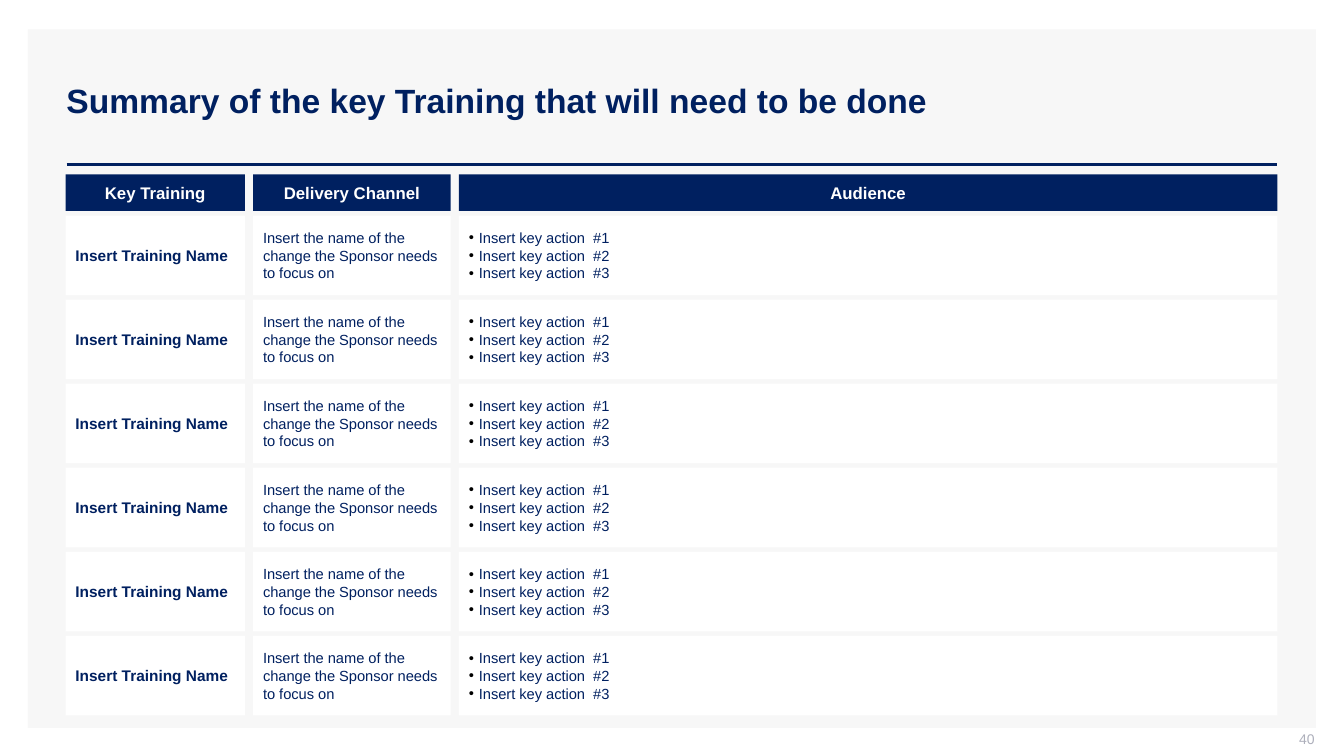
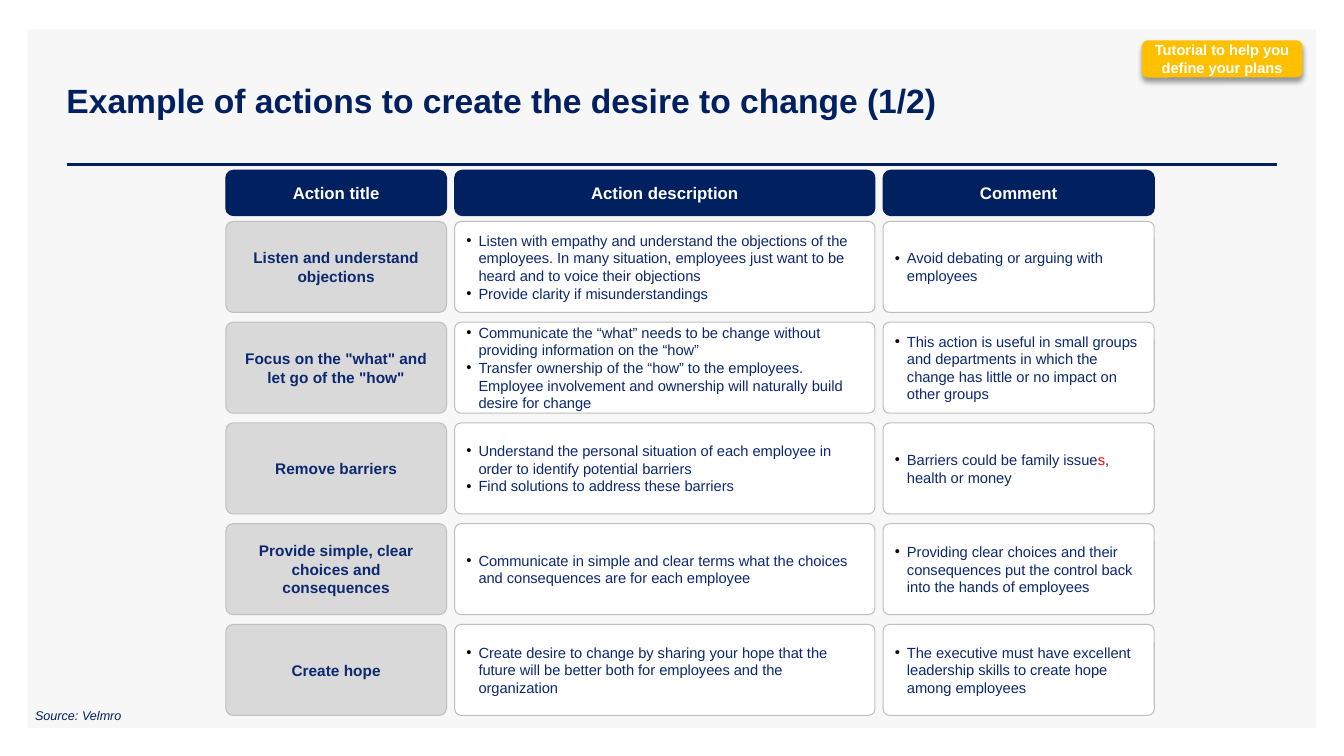
from dataclasses import dataclass

from lxml.etree import SubElement
from pptx import Presentation
from pptx.dml.color import RGBColor
from pptx.enum.shapes import MSO_CONNECTOR, MSO_SHAPE
from pptx.enum.text import MSO_ANCHOR, PP_ALIGN
from pptx.oxml.ns import qn
from pptx.util import Pt


@dataclass(frozen=True)
class Theme:
    font: str = "Arial"
    navy: str = "002060"
    ink: str = "0C2870"
    white: str = "FFFFFF"
    black: str = "000000"
    panel: str = "F7F7F7"
    label: str = "D9D9D9"
    border: str = "BFBFBF"
    amber: str = "FFC000"
    red: str = "FF0000"
    number: str = "ADAFBB"
    title_size: float = 24
    header_size: float = 12
    label_size: float = 11
    body_size: float = 10.5
    number_size: float = 10
    source_size: float = 9


@dataclass(frozen=True)
class Box:
    left: float
    top: float
    width: float
    height: float

    def lengths(self):
        return Pt(self.left), Pt(self.top), Pt(self.width), Pt(self.height)


@dataclass(frozen=True)
class Grid:
    shape: MSO_SHAPE
    widths: tuple
    column_gap: float
    header_height: float
    header_gap: float
    row_gap: float
    label_fill: str
    label_align: PP_ALIGN
    text_color: str
    border: str | None
    header_border: str | None
    indent: float
    bulleted: tuple
    corners: tuple


THEME = Theme()
CELL_INSETS = (7.2, 3.6, 7.2, 3.6)
HEADER_INSETS = (1.44, 1.44, 1.44, 1.44)

TRAINING_HEADERS = ("Key Training", "Delivery Channel", "Audience")
TRAINING_ROW = (
    ["Insert Training Name"],
    ["Insert the name of the change the Sponsor needs to focus on"],
    [f"Insert key action  #{number}" for number in range(1, 4)],
)
TRAINING_GRID = Grid(
    shape=MSO_SHAPE.RECTANGLE, widths=(128.2, 141.2, 584.6), column_gap=5.8,
    header_height=26, header_gap=3.4, row_gap=3.2, label_fill=THEME.white,
    label_align=PP_ALIGN.LEFT, text_color=THEME.navy, border=None,
    header_border=None, indent=7.2, bulleted=(2,), corners=(),
)

ACTION_HEADERS = ("Action title", "Action description", "Comment")
ACTION_ROWS = (
    (
        ["Listen and understand objections"],
        ["Listen with empathy and understand the objections of the employees. In many "
         "situation, employees just want to be heard and to voice their objections",
         "Provide clarity if misunderstandings"],
        ["Avoid debating or arguing with employees"],
    ),
    (
        ['Focus on the "what" and let go of the "how"'],
        [["Communicate the “what” need", ("s", THEME.navy),
          " to be change without providing information on the “how”"],
         "Transfer ownership of the “how” to the employees. Employee involvement and "
         "ownership will naturally build desire for change"],
        ["This action is useful in small groups and departments in which the change has "
         "little or no impact on other groups"],
    ),
    (
        ["Remove barriers"],
        ["Understand the personal situation of each employee in order to identify "
         "potential barriers",
         "Find solutions to address these barriers"],
        [["Barriers could be family issue", ("s", THEME.red), ", health or money"]],
    ),
    (
        ["Provide simple, clear choices and consequences"],
        ["Communicate in simple and clear terms what the choices and consequences are "
         "for each employee"],
        ["Providing clear choices and their consequences put the control back into the "
         "hands of employees"],
    ),
    (
        ["Create hope"],
        ["Create desire to change by sharing your hope that the future will be better "
         "both for employees and the organization"],
        ["The executive must have excellent leadership skills to create hope among "
         "employees"],
    ),
)
ACTION_GRID = Grid(
    shape=MSO_SHAPE.ROUNDED_RECTANGLE, widths=(157.7, 300.2, 193.7), column_gap=5.8,
    header_height=32.4, header_gap=4.2, row_gap=7, label_fill=THEME.label,
    label_align=PP_ALIGN.CENTER, text_color=THEME.ink, border=THEME.border,
    header_border=THEME.navy, indent=8.64, bulleted=(1, 2), corners=(0.08, 0.07, 0.07),
)


def rgb(color):
    return RGBColor.from_string(color)


def add_bullet(para, indent):
    properties = para._p.get_or_add_pPr()
    properties.set("marL", str(Pt(indent)))
    properties.set("indent", str(-Pt(indent)))
    color = SubElement(properties, qn("a:buClr"))
    SubElement(color, qn("a:srgbClr"), val=THEME.black)
    SubElement(properties, qn("a:buFont"), typeface=THEME.font)
    SubElement(properties, qn("a:buChar"), char="•")


def write(shape, paragraphs, size, color, bold=False, italic=False, align=PP_ALIGN.LEFT,
          insets=CELL_INSETS, indent=None, anchor=MSO_ANCHOR.MIDDLE):
    frame = shape.text_frame
    frame.word_wrap = True
    frame.vertical_anchor = anchor
    frame.margin_left, frame.margin_top, frame.margin_right, frame.margin_bottom = map(Pt, insets)
    for index, content in enumerate(paragraphs):
        para = frame.add_paragraph() if index else frame.paragraphs[0]
        para.alignment = align
        if indent:
            add_bullet(para, indent)
        for part in [content] if isinstance(content, str) else content:
            text, span_color = (part, color) if isinstance(part, str) else part
            span = para.add_run()
            span.text = text
            span.font.name = THEME.font
            span.font.size = Pt(size)
            span.font.bold = bold
            span.font.italic = italic
            span.font.color.rgb = rgb(span_color)


def add_block(page, box, fill, kind=MSO_SHAPE.RECTANGLE, line=None, corner=None):
    block = page.shapes.add_shape(kind, *box.lengths())
    block.shadow.inherit = False
    block.fill.solid()
    block.fill.fore_color.rgb = rgb(fill)
    if line:
        block.line.color.rgb = rgb(line)
        block.line.width = Pt(0.75)
    else:
        block.line.fill.background()
    if corner is not None:
        block.adjustments[0] = corner
    return block


def add_text(page, box, text, size, color, **style):
    write(page.shapes.add_textbox(*box.lengths()), [text], size, color, **style)


def add_frame(page, box, title):
    add_block(page, box, THEME.panel)
    left, right, rule_top = box.left + 27.6, box.left + box.width - 8 - 20, box.top + 96.4
    rule = page.shapes.add_connector(
        MSO_CONNECTOR.STRAIGHT, Pt(left), Pt(rule_top), Pt(right), Pt(rule_top))
    rule.line.color.rgb = rgb(THEME.navy)
    rule.line.width = Pt(2)
    SubElement(rule._element.spPr, qn("a:effectLst"))
    title_box = Box(box.left + 20.4, box.top + 7.8, 872, 85.7)
    add_text(page, title_box, title, THEME.title_size, THEME.navy, bold=True)


def add_grid(page, box, grid, headers, rows):
    rows_top = box.top + grid.header_height + grid.header_gap
    pitch = (box.top + box.height - rows_top + grid.row_gap) / len(rows)
    left = box.left
    for column, (header, width) in enumerate(zip(headers, grid.widths)):
        heading = add_block(page, Box(left, box.top, width, grid.header_height),
                            THEME.navy, grid.shape, grid.header_border)
        write(heading, [header], THEME.header_size, THEME.white, bold=True,
              align=PP_ALIGN.CENTER, insets=HEADER_INSETS)
        is_label = column == 0
        corner = grid.corners[column] if grid.corners else None
        for index, row in enumerate(rows):
            cell_box = Box(left, rows_top + index * pitch, width, pitch - grid.row_gap)
            cell = add_block(page, cell_box, grid.label_fill if is_label else THEME.white,
                             grid.shape, grid.border, corner)
            write(cell, row[column], THEME.label_size if is_label else THEME.body_size,
                  grid.text_color, bold=is_label,
                  align=grid.label_align if is_label else PP_ALIGN.LEFT,
                  indent=grid.indent if column in grid.bulleted else None)
        left += width + grid.column_gap


def add_badge(page, box, text):
    badge = add_block(page, box, THEME.amber, MSO_SHAPE.ROUNDED_RECTANGLE)
    effects = badge._element.spPr.find(qn("a:effectLst"))
    shadow = SubElement(effects, qn("a:outerShdw"), blurRad=str(Pt(4)), dist=str(Pt(3)),
                        dir="5400000", algn="t", rotWithShape="0")
    color = SubElement(shadow, qn("a:srgbClr"), val=THEME.black)
    SubElement(color, qn("a:alpha"), val="40000")
    write(badge, [text], THEME.body_size, THEME.white, bold=True, align=PP_ALIGN.CENTER)


def build_training(page, box):
    add_frame(page, box, "Summary of the key Training that will need to be done")
    add_grid(page, Box(box.left + 26.8, box.top + 103.6, 865.6, 386.4),
             TRAINING_GRID, TRAINING_HEADERS, [TRAINING_ROW] * 6)
    add_text(page, Box(box.left + 703, box.top + 501, 216, 15), "40", THEME.number_size,
             THEME.number, align=PP_ALIGN.RIGHT, insets=(7.2, 0, 0, 3.6))


def build_actions(page, box):
    add_frame(page, box, "Example of actions to create the desire to change (1/2)")
    add_grid(page, Box(box.left + 141.3, box.top + 100.6, 663.2, 389.4),
             ACTION_GRID, ACTION_HEADERS, ACTION_ROWS)
    add_text(page, Box(box.left - 2, box.top + 480.8, 88, 18), "Source: Velmro",
             THEME.source_size, THEME.navy, italic=True, anchor=MSO_ANCHOR.TOP)
    add_badge(page, Box(box.left + 795.6, box.top + 7.8, 114.8, 26.6),
              "Tutorial to help you define your plans")


def main():
    deck = Presentation()
    deck.slide_width, deck.slide_height = Pt(960), Pt(540)
    panel = Box(20, 21, 920, 499)
    for build in (build_training, build_actions):
        build(deck.slides.add_slide(deck.slide_layouts[6]), panel)
    deck.save("out.pptx")


if __name__ == "__main__":
    main()
